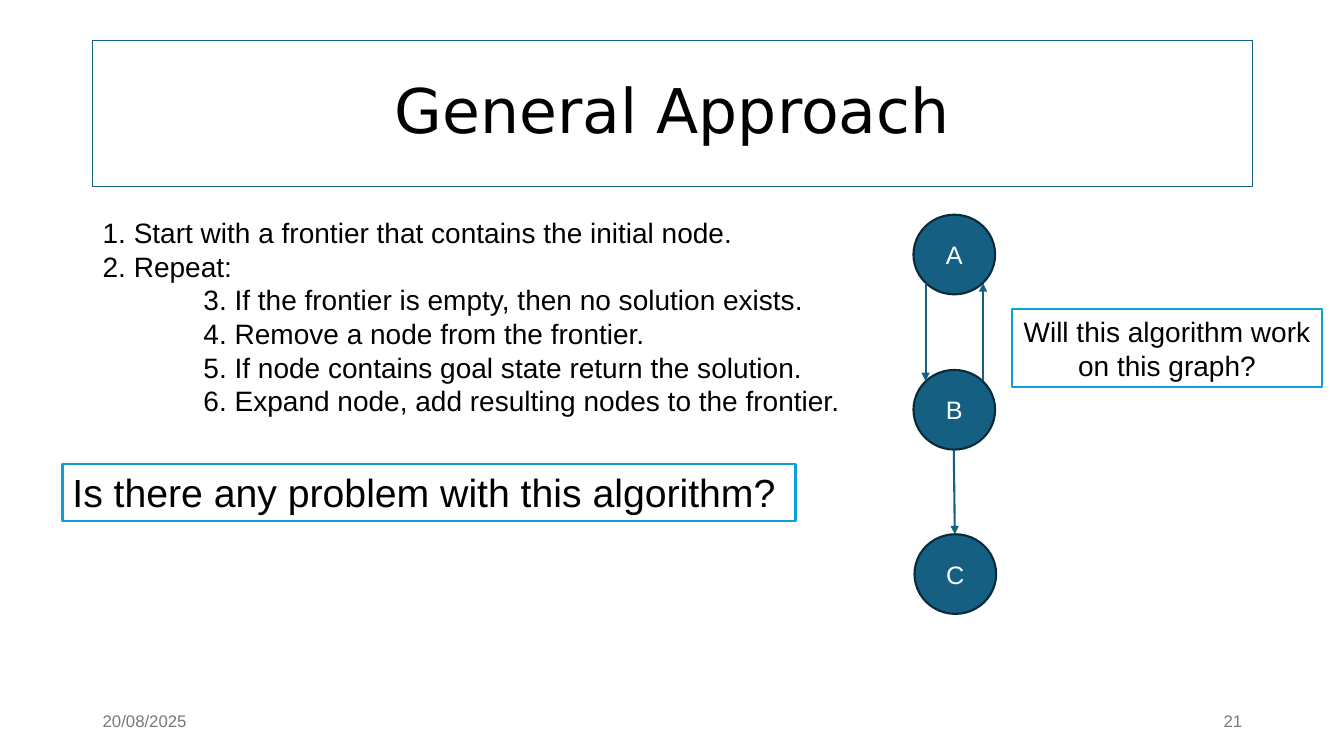
from dataclasses import dataclass

from lxml.etree import SubElement
from pptx import Presentation
from pptx.dml.color import RGBColor
from pptx.enum.shapes import MSO_CONNECTOR, MSO_SHAPE
from pptx.enum.text import MSO_ANCHOR, PP_ALIGN
from pptx.oxml.ns import qn
from pptx.util import Inches, Pt


@dataclass(frozen=True)
class Theme:
    font: str = "Arial"
    title_font: str = "DejaVu Sans"
    text: str = "000000"
    white: str = "FFFFFF"
    muted: str = "797979"
    node: str = "156082"
    node_line: str = "092A39"
    frame: str = "0F9ED5"
    title_size: int = 44
    question_size: int = 28
    body_size: int = 20
    node_size: int = 18
    footer_size: int = 12
    thin: float = 0.75
    line: float = 1.5


THEME = Theme()
NODE_WIDTH, NODE_HEIGHT = 0.81, 0.79
STEPS = [
    (0, "1. Start with a frontier that contains the initial node."),
    (0, "2. Repeat:"),
    (1, "3. If the frontier is empty, then no solution exists."),
    (1, "4. Remove a node from the frontier."),
    (1, "5. If node contains goal state return the solution."),
    (1, "6. Expand node, add resulting nodes to the frontier."),
]
NODES = [("A", 9.06, 2.13), ("B", 9.06, 3.67), ("C", 9.07, 5.3)]
EDGES = [
    ((9.46, 4.46), (9.47, 5.3)),
    ((9.18, 2.81), (9.18, 3.78)),
    ((9.75, 3.78), (9.75, 2.81)),
]


def style_paragraph(para, size, color=THEME.text, align=PP_ALIGN.LEFT, font=THEME.font):
    para.alignment = align
    para.font.name = font
    para.font.size = Pt(size)
    para.font.color.rgb = RGBColor.from_string(color)


def add_text(page, area, text, size, color=THEME.text, align=PP_ALIGN.LEFT):
    box = page.shapes.add_textbox(*map(Inches, area))
    frame = box.text_frame
    frame.word_wrap = True
    frame.vertical_anchor = MSO_ANCHOR.MIDDLE
    para = frame.paragraphs[0]
    para.text = text
    style_paragraph(para, size, color, align)


def add_panel(page, kind, area, text, size, fill, line, line_width=THEME.line,
              color=THEME.text, align=PP_ALIGN.CENTER, anchor=MSO_ANCHOR.MIDDLE,
              font=THEME.font, wrap=True):
    """Add an outlined shape with one paragraph and return the paragraph."""
    panel = page.shapes.add_shape(kind, *map(Inches, area))
    panel.shadow.inherit = False
    panel.fill.solid()
    panel.fill.fore_color.rgb = RGBColor.from_string(fill)
    panel.line.color.rgb = RGBColor.from_string(line)
    panel.line.width = Pt(line_width)
    frame = panel.text_frame
    frame.word_wrap = wrap
    frame.vertical_anchor = anchor
    para = frame.paragraphs[0]
    para.text = text
    style_paragraph(para, size, color, align, font)
    return para


def add_title(page, text):
    para = add_panel(page, MSO_SHAPE.RECTANGLE, (0.92, 0.4, 11.5, 1.45), text,
                     THEME.title_size, THEME.white, THEME.node, THEME.thin,
                     font=THEME.title_font)
    para.line_spacing = 0.9


def add_steps(page, area, steps):
    frame = page.shapes.add_textbox(*map(Inches, area)).text_frame
    frame.word_wrap = True
    for index, (depth, text) in enumerate(steps):
        para = frame.add_paragraph() if index else frame.paragraphs[0]
        para.text = text
        para._p.get_or_add_pPr().set("marL", str(Inches(depth)))
        style_paragraph(para, THEME.body_size)


def add_question(page, area, text, size, align, wrap):
    add_panel(page, MSO_SHAPE.RECTANGLE, area, text, size, THEME.white, THEME.frame,
              align=align, anchor=MSO_ANCHOR.TOP, wrap=wrap)


def add_node(page, label, left, top):
    add_panel(page, MSO_SHAPE.OVAL, (left, top, NODE_WIDTH, NODE_HEIGHT), label,
              THEME.node_size, THEME.node, THEME.node_line, color=THEME.white)


def add_arrow(page, start, end):
    arrow = page.shapes.add_connector(MSO_CONNECTOR.STRAIGHT, *map(Inches, start + end))
    arrow.line.color.rgb = RGBColor.from_string(THEME.node)
    arrow.line.width = Pt(THEME.line)
    SubElement(arrow.line._get_or_add_ln(), qn("a:tailEnd"), type="triangle")
    SubElement(arrow._element.spPr, qn("a:effectLst"))


def main():
    deck = Presentation()
    deck.slide_width, deck.slide_height = Inches(13.33), Inches(7.5)
    page = deck.slides.add_slide(deck.slide_layouts[6])

    add_title(page, "General Approach")
    add_steps(page, (0.92, 2.09, 7.74, 2.12), STEPS)
    add_question(page, (0.62, 4.6, 7.27, 0.57), "Is there any problem with this algorithm?",
                 THEME.question_size, PP_ALIGN.LEFT, wrap=True)
    for label, left, top in NODES:
        add_node(page, label, left, top)
    for start, end in EDGES:
        add_arrow(page, start, end)
    add_question(page, (10.04, 3.07, 3.07, 0.77), "Will this algorithm work\non this graph?",
                 THEME.body_size, PP_ALIGN.CENTER, wrap=False)
    add_text(page, (0.92, 6.95, 3, 0.4), "20/08/2025", THEME.footer_size, THEME.muted)
    add_text(page, (9.42, 6.95, 3, 0.4), "21", THEME.footer_size, THEME.muted,
             PP_ALIGN.RIGHT)
    deck.save("out.pptx")


if __name__ == "__main__":
    main()
